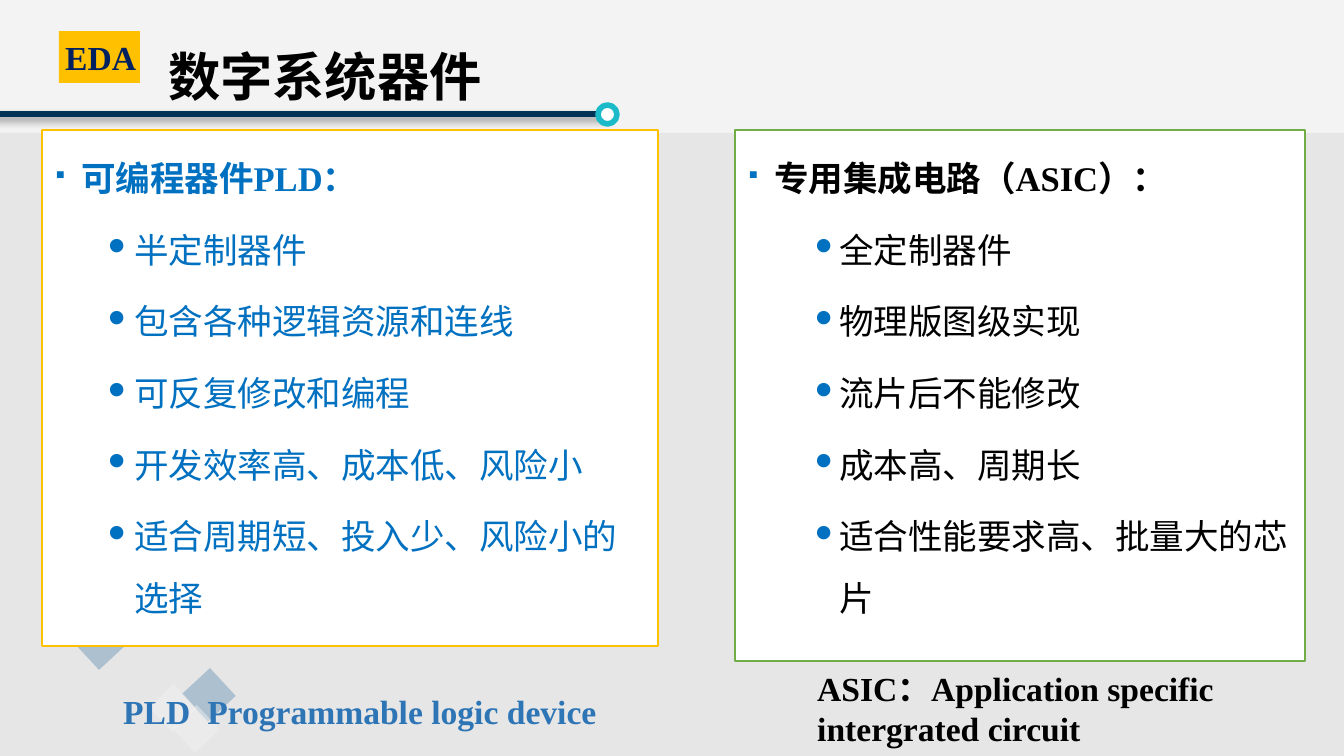
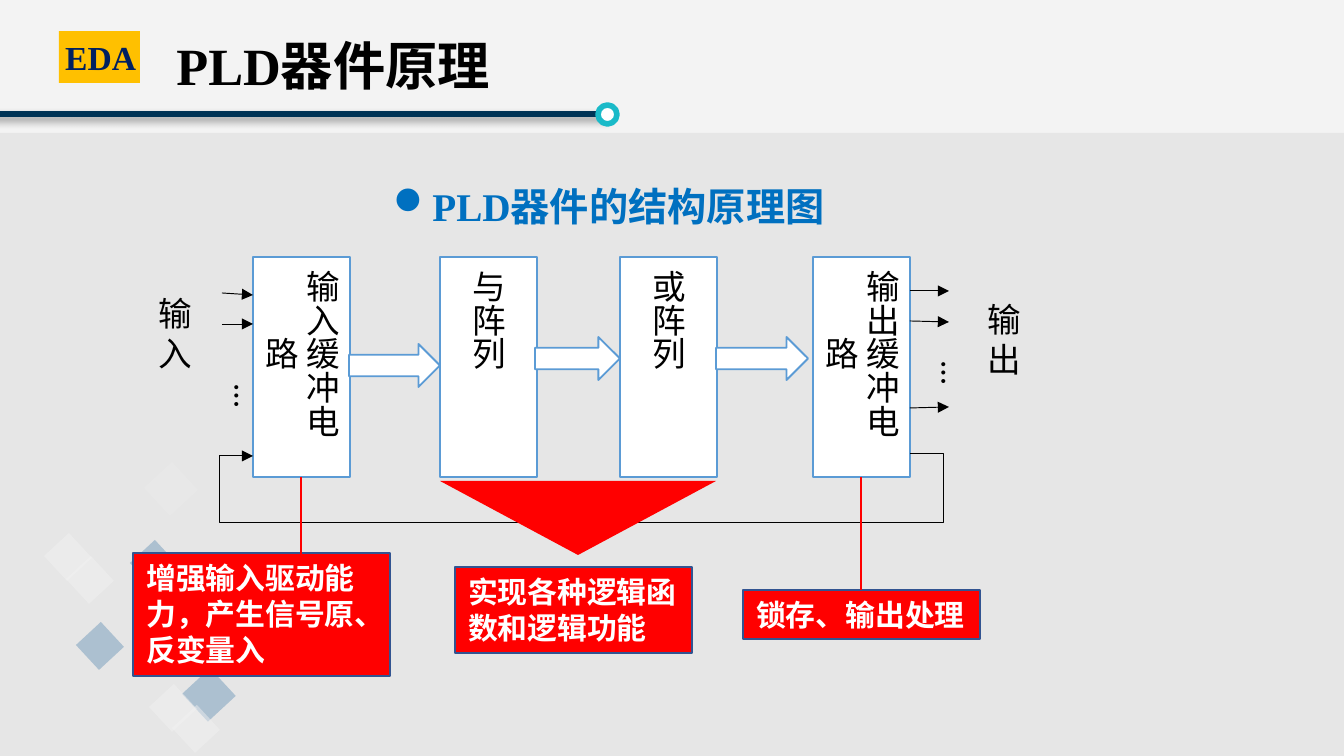
from lxml import etree
from pptx import Presentation
from pptx.dml.color import RGBColor
from pptx.enum.shapes import MSO_CONNECTOR, MSO_SHAPE
from pptx.enum.text import MSO_ANCHOR, MSO_AUTO_SIZE, PP_ALIGN
from pptx.oxml.ns import qn
from pptx.util import Pt

PX = 9144000 / 1344
WIDE, HIGH = 1344, 756
SERIF, SANS = "Times New Roman", "Calibri"
RECT, OVAL = MSO_SHAPE.RECTANGLE, MSO_SHAPE.OVAL
ARROW, WEDGE = MSO_SHAPE.RIGHT_ARROW, MSO_SHAPE.ISOSCELES_TRIANGLE
LINE, ELBOW = MSO_CONNECTOR.STRAIGHT, MSO_CONNECTOR.ELBOW
TOP, MID = MSO_ANCHOR.TOP, MSO_ANCHOR.MIDDLE
LEFT, CENTER = PP_ALIGN.LEFT, PP_ALIGN.CENTER
GROW, FIXED = MSO_AUTO_SIZE.SHAPE_TO_FIT_TEXT, MSO_AUTO_SIZE.NONE
SQUARE, DOT = "§", "l"  # Wingdings codes

COLORS = {
    "black": "000000", "white": "FFFFFF", "upper": "E6E6E6", "lower": "D9D9D9",
    "rule": "003456", "ring": "1ABAC8", "gold": "FFC000", "navy": "002060",
    "steel": "3773A4", "pale": "F2F2F2", "blue": "0070C0", "green": "70AD47",
    "soft": "2E75B6", "edge": "5B9BD5", "red": "FF0000", "rim": "325491",
}

# Diamonds: left, top, side, colour, opacity
GEMS = [(83, 629, 34, "steel", 33), (190, 676, 38, "steel", 33),
        (156, 691, 34, "pale", 46), (179, 712, 34, "pale", 46)]
MORE_GEMS = [(51, 540, 34, "pale", 46), (137, 547, 34, "steel", 33),
             (152, 470, 38, "pale", 23), (73, 563, 34, "pale", 46)]


def emu(px):
    return round(px * PX)


def rgb(name):
    return RGBColor.from_string(COLORS[name])


def node(parent, tag, **attrs):
    child = etree.SubElement(parent, qn("a:" + tag))
    for key, value in attrs.items():
        child.set(key, str(value))
    return child


def shape(slide, kind, box, fill, line=None, width=1, alpha=None):
    item = slide.shapes.add_shape(kind, *map(emu, box))
    item.shadow.inherit = False
    item.fill.solid()
    item.fill.fore_color.rgb = rgb(fill)
    if alpha:
        color = item.element.spPr.find(".//" + qn("a:srgbClr"))
        node(color, "alpha", val=alpha * 1000)
    if line:
        item.line.color.rgb = rgb(line)
        item.line.width = Pt(width)
    else:
        item.line.fill.background()
    return item


def link(slide, ends, color, width, head=False, kind=LINE):
    item = slide.shapes.add_connector(kind, *map(emu, ends))
    item.line.color.rgb = rgb(color)
    item.line.width = Pt(width)
    if head:
        node(item.element.spPr.find(qn("a:ln")), "tailEnd", type="triangle")
    node(item.element.spPr, "effectLst")
    return item


def style(para, size, color, name=SERIF, bold=True, align=LEFT, space=None):
    para.alignment = align
    if space:
        para.line_spacing = space
    font = para.font
    font.size, font.bold, font.name = Pt(size), bold, name
    font.color.rgb = rgb(color)


def bullet(para, char, left, hang, color, pct=100):
    props = para._p.get_or_add_pPr()
    props.set("marL", str(emu(left)))
    props.set("indent", str(-emu(hang)))
    node(node(props, "buClr"), "srgbClr", val=COLORS[color])
    node(props, "buSzPct", val=pct * 1000)
    node(props, "buFont", typeface="Wingdings", charset=2)
    node(props, "buChar", char=char)


def stop(para, left):
    tabs = node(para._p.get_or_add_pPr(), "tabLst")
    node(tabs, "tab", pos=emu(left), algn="l")


def write(item, lines, *look, anchor=TOP, wrap=True, grow=False, tab=None,
          mark=None, **more):
    frame = item.text_frame
    frame.word_wrap = wrap
    frame.vertical_anchor = anchor
    frame.auto_size = GROW if grow else FIXED
    frame.text = lines
    for para in frame.paragraphs:
        if mark:
            bullet(para, *mark)
        if tab:
            stop(para, tab)
        style(para, *look, **more)
    return frame


def label(slide, box, lines, *look, **more):
    return write(slide.shapes.add_textbox(*map(emu, box)), lines, *look, **more)


def upright(frame):
    frame._txBody.bodyPr.set("vert", "eaVert")


def place(item, box):
    item.left, item.top, item.width, item.height = map(emu, box)


def base(deck, title, box, gems, **more):
    slide = deck.slides.add_slide(deck.slide_layouts[5])
    # Bands, rule and ring
    shape(slide, RECT, (0, 0, WIDE, HIGH), "upper", alpha=47)
    shape(slide, RECT, (0, 133, WIDE, HIGH - 133), "lower", alpha=47)
    rule = link(slide, (-31, 114, 603, 114), "rule", 3)
    glow = node(rule.element.spPr.find(qn("a:effectLst")), "outerShdw",
                blurRad=Pt(4), dist=Pt(3), dir=45 * 60000)
    node(node(glow, "srgbClr", val=COLORS["black"]), "alpha", val=40000)
    for x, y, side, color, alpha in gems:
        gem = shape(slide, RECT, (x, y, side, side), color, alpha=alpha)
        gem.rotation = 47.2
    shape(slide, OVAL, (598, 105, 19, 19), "white", "ring", 3)
    # Badge
    shape(slide, RECT, (59, 31, 81, 52), "gold")
    label(slide, (52, 28, 118, 63), "EDA", 18, "navy", anchor=MID, space=0.9)
    # Title, in front of the bands
    head = slide.shapes.title
    head.element.getparent().append(head.element)
    place(head, box)
    write(head, title, 28, "black", **more)
    return slide


def panel(slide, box, edge, color, head, items, left, hang):
    frame = shape(slide, RECT, box, "white", edge).text_frame
    frame.word_wrap = True
    frame.vertical_anchor = TOP
    frame.text = "\n".join([head] + items)
    for i, para in enumerate(frame.paragraphs):
        para.level = 2 if i else 1
        if i:
            para.space_before = Pt(5)
            bullet(para, DOT, left, hang, "blue", 67)
        else:
            bullet(para, SQUARE, 26, 26, "blue", 67)
        style(para, 18.5, color, bold=i == 0, space=1.5)


def devices(deck):
    slide = base(deck, "数字系统器件", (155, 0, 344, 102), GEMS,
                 wrap=False, grow=True, space=1.6)
    panel(slide, (42, 130, 616, 516), "gold", "blue", "可编程器件PLD：",
          ["半定制器件", "包含各种逻辑资源和连线", "可反复修改和编程",
           "开发效率高、成本低、风险小", "适合周期短、投入少、风险小的选择"], 79, 26)
    panel(slide, (735, 130, 570, 531), "green", "black", "专用集成电路（ASIC）：",
          ["全定制器件", "物理版图级实现", "流片后不能修改",
           "成本高、周期长", "适合性能要求高、批量大的芯片"], 91, 24)
    # Full names
    label(slide, (804, 661, 517, 95),
          "ASIC：Application specific intergrated circuit", 18, "black", grow=True)
    label(slide, (110, 684, 528, 54), "PLD\tProgrammable logic device",
          18, "soft", grow=True, tab=84)


def diagram(slide, x, y):
    # Blocks
    for dx, name in ((0, "输入缓冲电路"), (187, "与阵列"), (367, "或阵列"),
                     (560, "输出缓冲电路")):
        block = shape(slide, RECT, (x + dx, y, 97, 220), "white", "edge")
        upright(write(block, name, 18, "black", SANS, False, CENTER, anchor=MID))
    # Signal lines
    for dx, dy, length, drop in ((-31, 36, 31, 2), (-31, 67, 31, 0),
                                 (657, 34, 39, 0), (657, 64, 39, 1),
                                 (657, 151, 39, -1)):
        link(slide, (x + dx, y + dy, x + dx + length, y + dy + drop),
             "black", 0.5, True)
    for dx, dy in ((-45, 114), (662, 91)):
        upright(label(slide, (x + dx, y + dy, 67, 36), "…", 18, "black", SANS,
                      False, wrap=False, grow=True))
    for dx, dy, name in ((-108, 29, "输\n入"), (721, 35, "输\n出")):
        label(slide, (x + dx, y + dy, 60, 95), name, 18, "black", SANS, False,
              wrap=False, grow=True)
    # Feedback loop
    loop = link(slide, (x + 657, y + 197, x, y + 199), "black", 0.5, True, ELBOW)
    geom = loop.element.spPr.find(qn("a:prstGeom"))
    geom.set("prst", "bentConnector5")
    guides = geom.find(qn("a:avLst"))
    for i, value in enumerate((-5100, 3400000, 105100), 1):
        node(guides, "gd", name=f"adj{i}", fmla=f"val {value}")
    # Block arrows
    for dx, dy, width in ((96, 87, 91), (282, 80, 85), (463, 80, 92)):
        shape(slide, ARROW, (x + dx, y + dy, width, 43), "white", "edge")


def notes(slide, x, y):
    wedge = shape(slide, WEDGE, (x + 307, y, 276, 74), "red")
    wedge.rotation = 180
    for dx, dy, width, height, text in (
            (0, 72, 257, 123, "增强输入驱动能力，产生信号原、反变量入"),
            (322, 86, 237, 86, "实现各种逻辑函数和逻辑功能"),
            (610, 109, 237, 49, "锁存、输出处理")):
        note = shape(slide, RECT, (x + dx, y + dy, width, height), "red", "rim")
        write(note, text, 16, "white", SANS, grow=True)
    for dx, end in ((168, 73), (728, 109)):
        link(slide, (x + dx, y - 4, x + dx, y + end), "red", 1.5)


def theory(deck):
    slide = base(deck, "PLD器件原理", (163, -4, 1159, 146), GEMS + MORE_GEMS,
                 anchor=MID, space=0.9)
    # Heading
    label(slide, (380, 152, 602, 86), "PLD器件的结构原理图", 21, "blue",
          space=1.5, mark=(DOT, 26, 26, "blue"))
    diagram(slide, 253, 257)
    notes(slide, 133, 481)


def main():
    deck = Presentation()
    deck.slide_width, deck.slide_height = emu(WIDE), emu(HIGH)
    devices(deck)
    theory(deck)
    deck.save("out.pptx")


if __name__ == "__main__":
    main()
